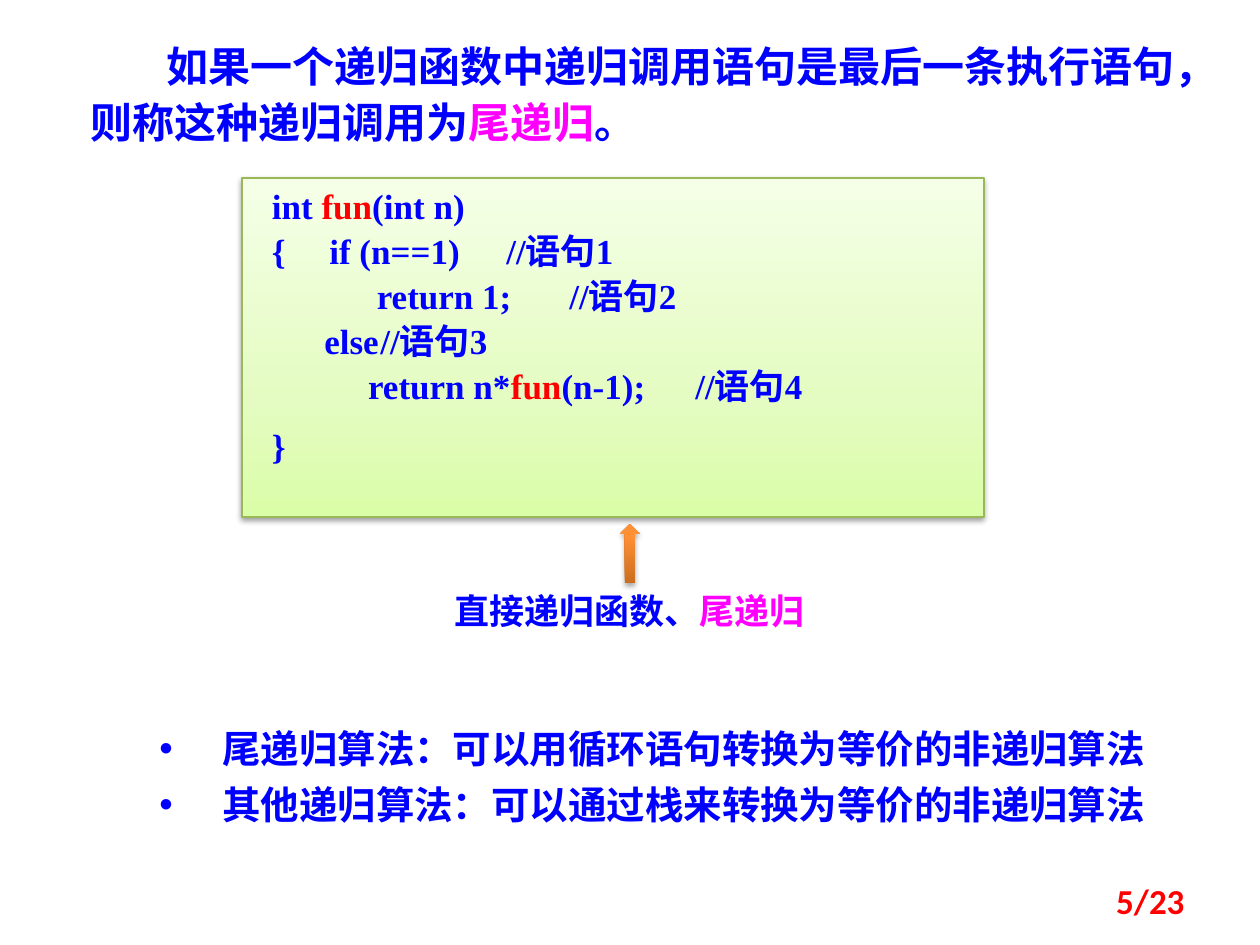
from dataclasses import dataclass

from lxml import etree
from pptx import Presentation
from pptx import util as u
from pptx.dml.color import RGBColor
from pptx.enum import shapes, text
from pptx.oxml.ns import qn

SCALE = 914400 / 126
BLUE, PINK, RED = "0000FF", "FF00FF", "FF0000"
ROMAN, SANS, PLAIN = "Times New Roman", "Noto Sans CJK SC", "Calibri"


@dataclass
class Run:
    """A stretch of text in one colour."""
    words: str
    tint: str = BLUE


@dataclass
class Para:
    """A paragraph, with lengths in px and spacing in points."""
    runs: list[Run]
    align: str = "LEFT"
    lead: u.Length | float | None = None
    before: float = 0
    left: int = 0
    first: int = 0
    dot: bool = False
    tab: int = 0


@dataclass
class Box:
    """A place on the slide."""
    x: int
    y: int
    w: int
    h: int


def px(n: int) -> u.Emu:
    """Turn px into EMU."""
    return u.Emu(round(n * SCALE))


def hue(code: str) -> RGBColor:
    """Turn a hex string into a colour."""
    return RGBColor.from_string(code)


def place(box: Box) -> list[u.Emu]:
    """List the four lengths of a box in EMU."""
    return [px(n) for n in (box.x, box.y, box.w, box.h)]


def node(root, tag: str, **attrs):
    """Add a drawing element under root."""
    return etree.SubElement(root, qn(tag), {k: str(v) for k, v in attrs.items()})


def write(frame, paras: list[Para], size: int, face: str) -> None:
    """Fill a text frame run by run."""
    frame.word_wrap = True
    for i, para in enumerate(paras):
        p = frame.paragraphs[0] if i == 0 else frame.add_paragraph()
        p.alignment = getattr(text.PP_ALIGN, para.align)
        p.space_before = u.Pt(para.before)
        if para.lead:
            p.line_spacing = para.lead
        props = p._p.get_or_add_pPr()
        props.set("marL", str(px(para.left)))
        props.set("indent", str(px(para.first)))
        if para.dot:
            node(props, "a:buFont", typeface="Arial")
            node(props, "a:buChar", char="•")
        if para.tab:
            stops = node(props, "a:tabLst")
            node(stops, "a:tab", pos=px(para.tab), algn="l")
        for run in para.runs:
            r = p.add_run()
            r.text = run.words
            font = r.font
            font.size, font.bold, font.name = u.Pt(size), True, face
            font.color.rgb = hue(run.tint)
            node(r._r.get_or_add_rPr(), "a:ea", typeface=SANS)


def label(slide, box: Box, paras: list[Para], size: int, face: str = ROMAN):
    """Add a text box and return its frame."""
    frame = slide.shapes.add_textbox(*place(box)).text_frame
    write(frame, paras, size, face)
    return frame


def panel(slide, kind, box: Box, stops: dict[int, str], dim: int, drop: float):
    """Add a shape with an upward gradient and a soft shadow."""
    shape = slide.shapes.add_shape(kind, *place(box))
    shape.fill.gradient()
    shape.fill.gradient_angle = 90
    shape.line.fill.background()
    shape.shadow.inherit = False
    props = shape._element.spPr
    ramp = props.find(".//" + qn("a:gsLst"))
    ramp.clear()
    for pos, tint in stops.items():
        node(node(ramp, "a:gs", pos=pos * 1000), "a:srgbClr", val=tint)
    shade = node(props.find(qn("a:effectLst")), "a:outerShdw", blurRad=u.Pt(3.1),
                 dist=u.Pt(drop), dir=5400000, rotWithShape=0)
    node(node(shade, "a:srgbClr", val="000000"), "a:alpha", val=dim * 1000)
    return shape


def code(*runs: Run, lead: float = 0.8, before: float = 6.5) -> Para:
    """Make a line of code with its comment column."""
    return Para(list(runs), "JUSTIFY", lead, before, tab=504)


def main() -> None:
    """Build the slide."""
    deck = Presentation()
    deck.slide_width, deck.slide_height = px(1260), px(945)
    slide = deck.slides.add_slide(deck.slide_layouts[6])
    row = u.Pt(32)

    label(slide, Box(78, 29, 1123, 126), [Para([
        Run("如果一个递归函数中递归调用语句是最后一条执行语句，则称这种递归调用为"),
        Run("尾递归", PINK), Run("。")], lead=row, first=76)], 24)

    fun = Run("fun", RED)
    card = panel(slide, shapes.MSO_SHAPE.RECTANGLE, Box(242, 178, 742, 339),
                 {0: "DAFDA7", 35: "E4FCC2", 100: "F5FFE7"}, 38, 1.6)
    card.line.color.rgb = hue("98B955")
    card.line.width = u.Pt(0.75)
    card.text_frame.vertical_anchor = text.MSO_ANCHOR.TOP
    write(card.text_frame, [
        code(Run("  int "), fun, Run("(int n)"), lead=1.0, before=0),
        code(Run("  {     if (n==1)\t//语句1")),
        code(Run("              return 1;\t//语句2")),
        code(Run("        else\t//语句3")),
        code(Run("             return n*"), fun, Run("(n-1);\t//语句4")),
        code(Run("  }"), before=15),
    ], 20, ROMAN)

    label(slide, Box(423, 583, 413, 55), [Para(
        [Run("直接递归函数、"), Run("尾递归", PINK)], "CENTER")], 20)
    panel(slide, shapes.MSO_SHAPE.UP_ARROW, Box(620, 524, 20, 59),
          {0: "CC6E20", 80: "FF9034", 100: "FF9136"}, 35, 1.8)

    page = label(slide, Box(903, 876, 294, 50),
                 [Para([Run("5/23", RED)], "RIGHT")], 20, PLAIN)
    page.vertical_anchor = text.MSO_ANCHOR.MIDDLE

    notes = ("尾递归算法：可以用循环语句转换为等价的非递归算法",
             "其他递归算法：可以通过栈来转换为等价的非递归算法")
    label(slide, Box(147, 709, 1024, 121), [
        Para([Run(note)], lead=row, left=63, first=-63, dot=True)
        for note in notes], 22, SANS)

    deck.save("out.pptx")


if __name__ == "__main__":
    main()
